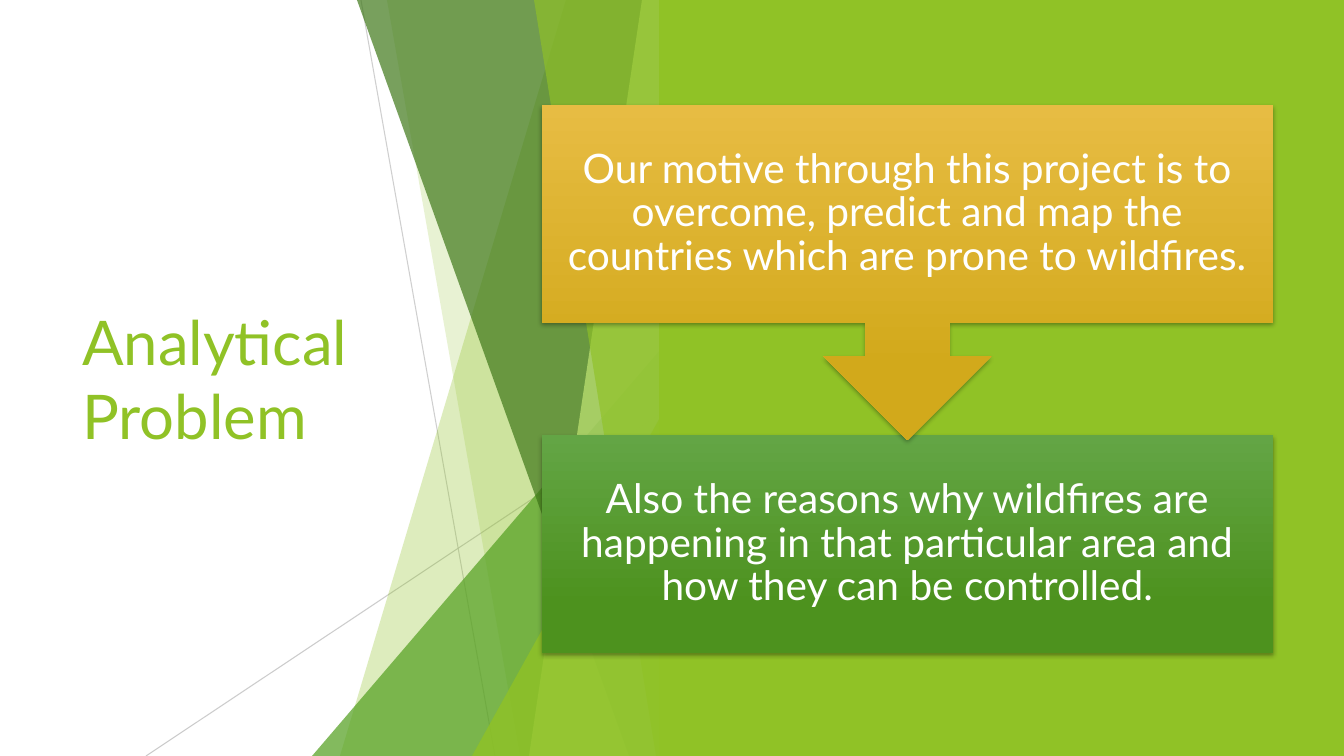
from dataclasses import dataclass

from lxml.etree import SubElement
from pptx import Presentation
from pptx.dml.color import RGBColor
from pptx.enum.shapes import MSO_CONNECTOR, MSO_SHAPE
from pptx.enum.text import MSO_ANCHOR, MSO_AUTO_SIZE, PP_ALIGN
from pptx.oxml.ns import qn
from pptx.util import Emu, Pt

EMU_PER_PX = 914400 / 100.8
SLIDE_WIDTH, SLIDE_HEIGHT = 1344, 756
FACET_RIGHT = 672


@dataclass(frozen=True)
class Theme:
    """Colours, font and sizes of the slide."""
    font: str = "Lato"
    title_size: int = 44
    body_size: int = 29
    line_width: float = 0.75
    white: str = "FFFFFF"
    lime: str = "90C226"
    pale_lime: str = "C0E474"
    green: str = "54A021"
    dark_green: str = "3F7819"
    grey: str = "BFBFBF"
    gold_gradient: tuple = ("E7BC43", "D2A91B")
    green_gradient: tuple = ("63A545", "4D921E")


THEME = Theme()


def px(*lengths):
    """Turn pixel lengths into EMU."""
    return [Emu(round(length * EMU_PER_PX)) for length in lengths]


def set_opacity(shape, percent):
    """Make every colour of a shape partly transparent."""
    for colour in shape._element.spPr.iter(qn("a:srgbClr")):
        SubElement(colour, qn("a:alpha"), val=str(percent * 1000))


def paint(shape, colour, opacity=100):
    """Give a shape a flat fill without outline or shadow."""
    shape.shadow.inherit = False
    shape.fill.solid()
    shape.fill.fore_color.rgb = RGBColor.from_string(colour)
    shape.line.fill.background()
    if opacity < 100:
        set_opacity(shape, opacity)


def add_ray(slide, start, end, opacity):
    """Draw a thin grey line."""
    ray = slide.shapes.add_connector(MSO_CONNECTOR.STRAIGHT, *px(*start, *end))
    ray.line.color.rgb = RGBColor.from_string(THEME.grey)
    ray.line.width = Pt(THEME.line_width)
    set_opacity(ray, opacity)
    SubElement(ray._element.spPr, qn("a:effectLst"))


def add_facet(slide, top_left, bottom_left, colour, opacity):
    """Draw a full-height facet with a slanted left side."""
    builder = slide.shapes.build_freeform(top_left, 0, scale=EMU_PER_PX)
    builder.add_line_segments([(FACET_RIGHT, 0), (FACET_RIGHT, SLIDE_HEIGHT),
                               (bottom_left, SLIDE_HEIGHT)])
    paint(builder.convert_to_shape(), colour, opacity)


def add_corner(slide, left, top, colour, opacity):
    """Draw a right triangle standing on the lower edge."""
    box = px(left, top, FACET_RIGHT - left, SLIDE_HEIGHT - top)
    corner = slide.shapes.add_shape(MSO_SHAPE.ISOSCELES_TRIANGLE, *box)
    corner.adjustments[0] = 1
    paint(corner, colour, opacity)


def add_soft_shadow(shape):
    """Add a faint shadow below a shape."""
    shape.shadow.inherit = False
    effects = shape._element.spPr.find(qn("a:effectLst"))
    shadow = SubElement(effects, qn("a:outerShdw"), blurRad=str(Pt(3)), dist=str(Pt(2)),
                        dir="5400000", algn="ctr", rotWithShape="0")
    colour = SubElement(shadow, qn("a:srgbClr"), val="000000")
    SubElement(colour, qn("a:alpha"), val="35000")


def style_text(paragraph, size, colour):
    """Format the runs of a paragraph."""
    for run in paragraph.runs:
        run.font.name = THEME.font
        run.font.size = Pt(size)
        run.font.color.rgb = RGBColor.from_string(colour)


def add_statement(slide, preset, box, gradient, text):
    """Draw a gradient panel with centred text."""
    panel = slide.shapes.add_shape(preset, *px(*box))
    panel.fill.gradient()
    panel.fill.gradient_angle = 270
    for stop, colour, position in zip(panel.fill.gradient_stops, gradient, (0, 0.78)):
        stop.color.rgb = RGBColor.from_string(colour)
        stop.position = position
    panel.line.fill.background()
    add_soft_shadow(panel)
    frame = panel.text_frame
    frame.word_wrap = True
    frame.vertical_anchor = MSO_ANCHOR.MIDDLE
    frame.margin_left, frame.margin_top, frame.margin_right, frame.margin_bottom = px(*[23] * 4)
    frame.text = text
    paragraph = frame.paragraphs[0]
    paragraph.alignment = PP_ALIGN.CENTER
    paragraph.line_spacing = 0.9
    style_text(paragraph, THEME.body_size, THEME.white)


def set_title(slide, text):
    """Fill and place the title placeholder."""
    title = slide.shapes.title
    title.left, title.top, title.width, title.height = px(72, 152, 391, 452)
    frame = title.text_frame
    frame.text = text
    frame.word_wrap = True
    frame.auto_size = MSO_AUTO_SIZE.NONE
    frame.vertical_anchor = MSO_ANCHOR.MIDDLE
    frame.paragraphs[0].alignment = PP_ALIGN.LEFT
    style_text(frame.paragraphs[0], THEME.title_size, THEME.lime)


def add_backdrop(slide):
    """Draw the rays, the facets and the lime half."""
    add_ray(slide, (361, 0), (495, SLIDE_HEIGHT), 75)
    add_ray(slide, (FACET_RIGHT, 406), (146, SLIDE_HEIGHT), 80)
    add_facet(slide, 566, 340, THEME.lime, 30)
    add_facet(slide, 387, 520, THEME.lime, 20)
    add_corner(slide, 312, 336, THEME.green, 72)
    add_facet(slide, 357, 629, THEME.dark_green, 70)
    add_facet(slide, 642, 529, THEME.pale_lime, 70)
    add_facet(slide, 534, 656, THEME.lime, 65)
    add_corner(slide, 472, 396, THEME.lime, 80)
    half = slide.shapes.add_shape(MSO_SHAPE.RECTANGLE,
                                  *px(659, 0, SLIDE_WIDTH - 659, SLIDE_HEIGHT))
    paint(half, THEME.lime)


def main():
    """Build and save the slide."""
    presentation = Presentation()
    presentation.slide_width, presentation.slide_height = px(SLIDE_WIDTH, SLIDE_HEIGHT)
    slide = presentation.slides.add_slide(presentation.slide_layouts[5])
    set_title(slide, "Analytical Problem")
    add_backdrop(slide)
    add_statement(slide, MSO_SHAPE.RECTANGLE, (542, 435, 731, 218), THEME.green_gradient,
                  "Also the reasons why wildfires are happening in that particular area "
                  "and how they can be controlled.")
    add_statement(slide, MSO_SHAPE.DOWN_ARROW_CALLOUT, (542, 105, 731, 335), THEME.gold_gradient,
                  "Our motive through this project is to overcome, predict and map "
                  "the countries which are prone to wildfires.")
    presentation.save("out.pptx")


if __name__ == "__main__":
    main()
